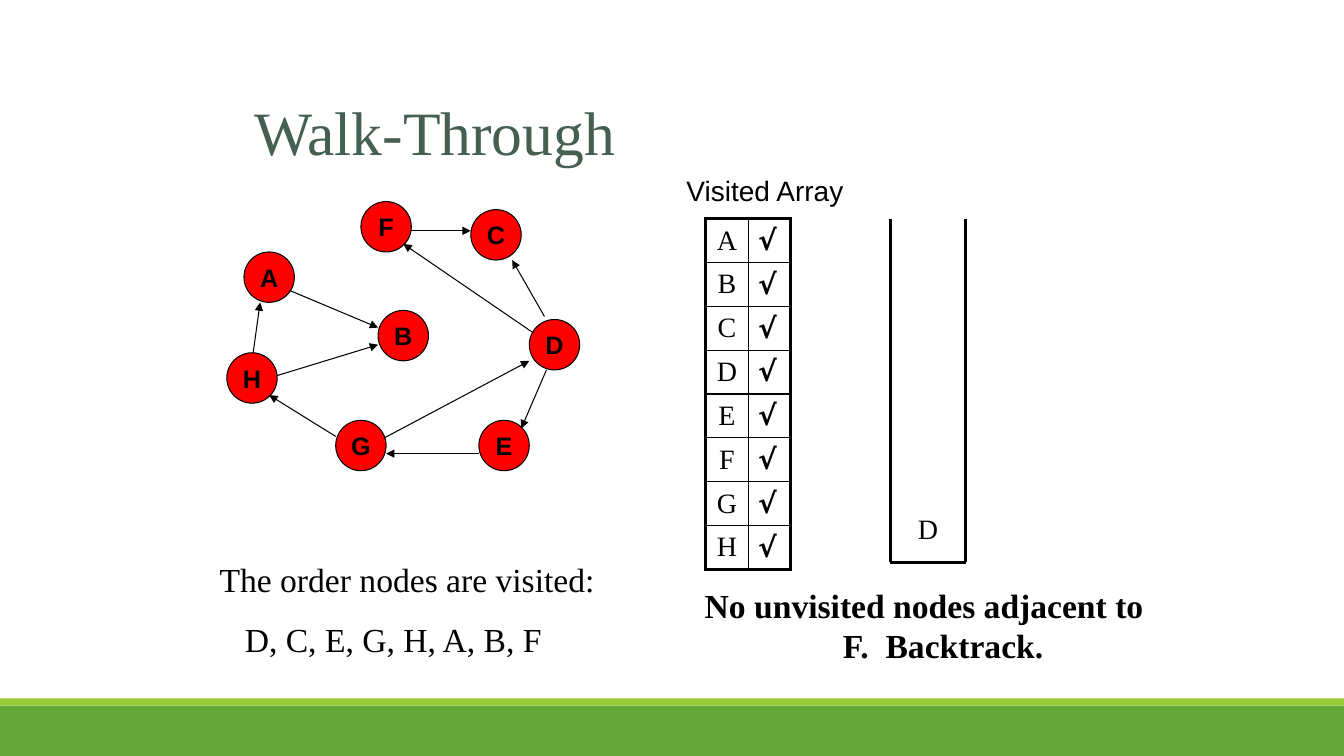
from lxml import etree
from pptx import Presentation
from pptx.dml.color import RGBColor
from pptx.enum.shapes import MSO_CONNECTOR, MSO_SHAPE
from pptx.enum.text import MSO_ANCHOR, PP_ALIGN
from pptx.oxml.ns import qn
from pptx.util import Inches, Pt

BLACK = RGBColor(0, 0, 0)
RED = RGBColor(0xFF, 0, 0)
SLATE = RGBColor(0x45, 0x5F, 0x51)
GREEN = RGBColor(0x63, 0xA5, 0x37)
LIME = RGBColor(0x99, 0xCB, 0x38)
SERIF, SANS, SYMBOL = "Times New Roman", "Arial", "DejaVu Sans"

# Content: node name -> left, top of its circle
NODES = {
    "A": (2.42, 2.5), "H": (2.25, 3.5), "B": (3.75, 3.08), "F": (3.58, 2),
    "E": (4.75, 4.17), "D": (5.25, 3.17), "C": (4.67, 2.08), "G": (3.33, 4.17),
}
NODE_SIZE = 0.5
# Directed edges: start point, end point
EDGES = [
    ((5.33, 3.33), (4, 2.42)),     # D to F
    ((5.42, 3.67), (5.17, 4.25)),  # D to E
    ((2.67, 3.75), (3.75, 3.42)),  # H to B
    ((3.67, 4.42), (5.25, 3.58)),  # G to D
    ((2.5, 3.58), (2.58, 3)),      # H to A
    ((2.75, 2.83), (3.75, 3.25)),  # A to B
    ((5.4, 3.14), (5.08, 2.58)),   # D to C
    ((4.75, 4.5), (3.83, 4.5)),    # E to G
    ((3.33, 4.33), (2.67, 3.92)),  # G to H
    ((4.08, 2.29), (4.67, 2.29)),  # F to C
]
VISITED = [(name, "√") for name in "ABCDEFGH"]
BANDS = [(7, 0.5, GREEN), (6.93, 0.07, LIME)]
STACK_LEFT, STACK_RIGHT, STACK_TOP, STACK_BOTTOM = 8.83, 9.58, 2.17, 5.58

prs = Presentation()
prs.slide_width, prs.slide_height = Inches(13.33), Inches(7.5)
slide = prs.slides.add_slide(prs.slide_layouts[5])
shapes = slide.shapes


def box(left, top, width, height):
    return [Inches(v) for v in (left, top, width, height)]


def style(paragraph, size, face=SERIF, bold=False, color=BLACK, align=PP_ALIGN.LEFT):
    paragraph.alignment = align
    font = paragraph.font
    font.size, font.name, font.bold = Pt(size), face, bold
    font.color.rgb = color


def hang(paragraph, margin, indent):
    pPr = paragraph._p.get_or_add_pPr()
    pPr.set("marL", str(Inches(margin)))
    pPr.set("indent", str(Inches(indent)))


def add_line(start, end, width, arrow=False):
    line = shapes.add_connector(
        MSO_CONNECTOR.STRAIGHT, *[Inches(v) for v in (*start, *end)])
    line.line.color.rgb = BLACK
    line.line.width = Pt(width)
    if arrow:
        etree.SubElement(line.line._get_or_add_ln(), qn("a:tailEnd"), type="triangle")
    etree.SubElement(line._element.spPr, qn("a:effectLst"))


def add_text(place, lines, size, **look):
    frame = shapes.add_textbox(*box(*place)).text_frame
    frame.word_wrap = True
    frame.text = "\n".join(lines)
    for paragraph in frame.paragraphs:
        style(paragraph, size, **look)
    return frame


def add_border(cell, side, width):
    ln = etree.SubElement(cell._tc.get_or_add_tcPr(), qn(f"a:ln{side}"), w=str(Pt(width)))
    fill = etree.SubElement(ln, qn("a:solidFill"))
    etree.SubElement(fill, qn("a:srgbClr"), val=str(BLACK))


# Green bands at the foot
for top, height, color in BANDS:
    band = shapes.add_shape(MSO_SHAPE.RECTANGLE, *box(0, top, 13.33, height))
    band.shadow.inherit = False
    band.fill.solid()
    band.fill.fore_color.rgb = color
    band.line.fill.background()

# Title
title = shapes.title
title.left, title.top, title.width, title.height = box(2.42, 0.67, 8.5, 1.25)
title.text_frame.text = "Walk-Through"
title.text_frame.vertical_anchor = MSO_ANCHOR.MIDDLE
style(title.text_frame.paragraphs[0], 44, color=SLATE)

# Graph
for start, end in EDGES:
    add_line(start, end, 0.75, arrow=True)
for name, (left, top) in NODES.items():
    node = shapes.add_shape(MSO_SHAPE.OVAL, *box(left, top, NODE_SIZE, NODE_SIZE))
    node.shadow.inherit = False
    node.fill.solid()
    node.fill.fore_color.rgb = RED
    node.line.color.rgb = BLACK
    node.line.width = Pt(0.75)
    node.text_frame.word_wrap = False
    node.text_frame.text = name
    style(node.text_frame.paragraphs[0], 18, SANS, True, align=PP_ALIGN.CENTER)

# Visited array
add_text((6.71, 1.67, 1.83, 0.43), ["Visited Array"], 20, face=SANS)
last = len(VISITED) - 1
visited = shapes.add_table(len(VISITED), 2, *box(7, 2.17, 0.84, 3.48)).table
visited.first_row = visited.horz_banding = False
for r, row in enumerate(VISITED):
    for c, text in enumerate(row):
        cell = visited.cell(r, c)
        cell.text = text
        cell.vertical_anchor = MSO_ANCHOR.MIDDLE
        if c == 0:
            style(cell.text_frame.paragraphs[0], 20, align=PP_ALIGN.CENTER)
        else:
            style(cell.text_frame.paragraphs[0], 20, SYMBOL, True)
        outer = {"L": c == 0, "R": c == 1, "T": r == 0, "B": r == last}
        for side, is_outer in outer.items():
            add_border(cell, side, 2.25 if is_outer else 1)
        cell.fill.background()

# Stack
bottom_left, bottom_right = (STACK_LEFT, STACK_BOTTOM), (STACK_RIGHT, STACK_BOTTOM)
add_line((STACK_LEFT, STACK_TOP), bottom_left, 2.25)
add_line((STACK_RIGHT, STACK_TOP), bottom_right, 2.25)
add_line(bottom_left, bottom_right, 2.25)
add_text((STACK_LEFT, 5.03, STACK_RIGHT - STACK_LEFT, 0.42), ["D"], 20,
         align=PP_ALIGN.CENTER)

# Captions
remark = add_text((6.75, 5.75, 4.83, 0.91),
                  ["No unvisited nodes adjacent to F.  Backtrack."], 24,
                  bold=True, align=PP_ALIGN.CENTER)
hang(remark.paragraphs[0], 0.38, -0.38)
order = add_text((2.08, 5.5, 4.5, 1.11),
                 ["The order nodes are visited:", "D, C, E, G, H, A, B, F"], 24)
hang(order.paragraphs[1], 0.25, 0)
order.paragraphs[1].space_before = Pt(14)

prs.save("out.pptx")
